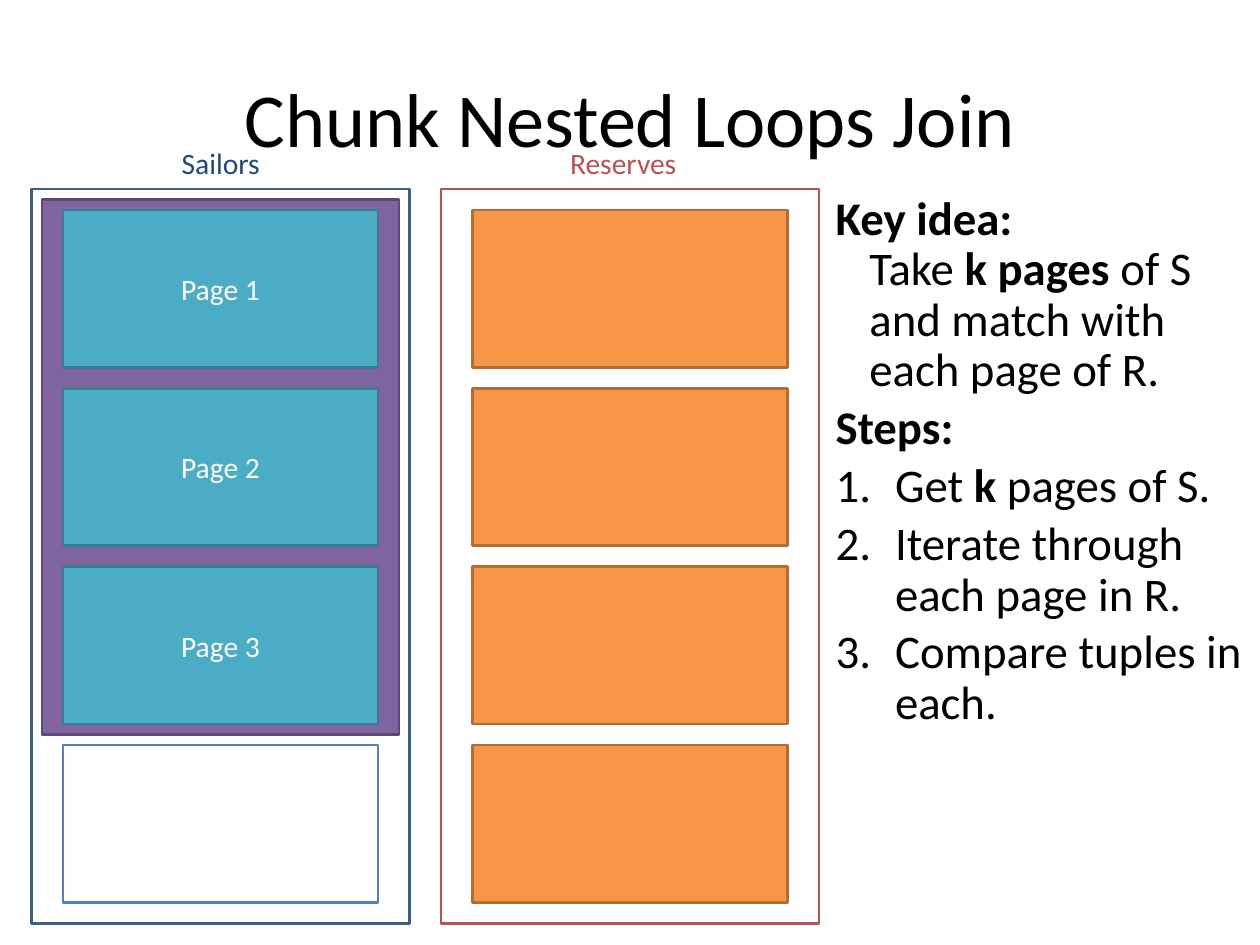
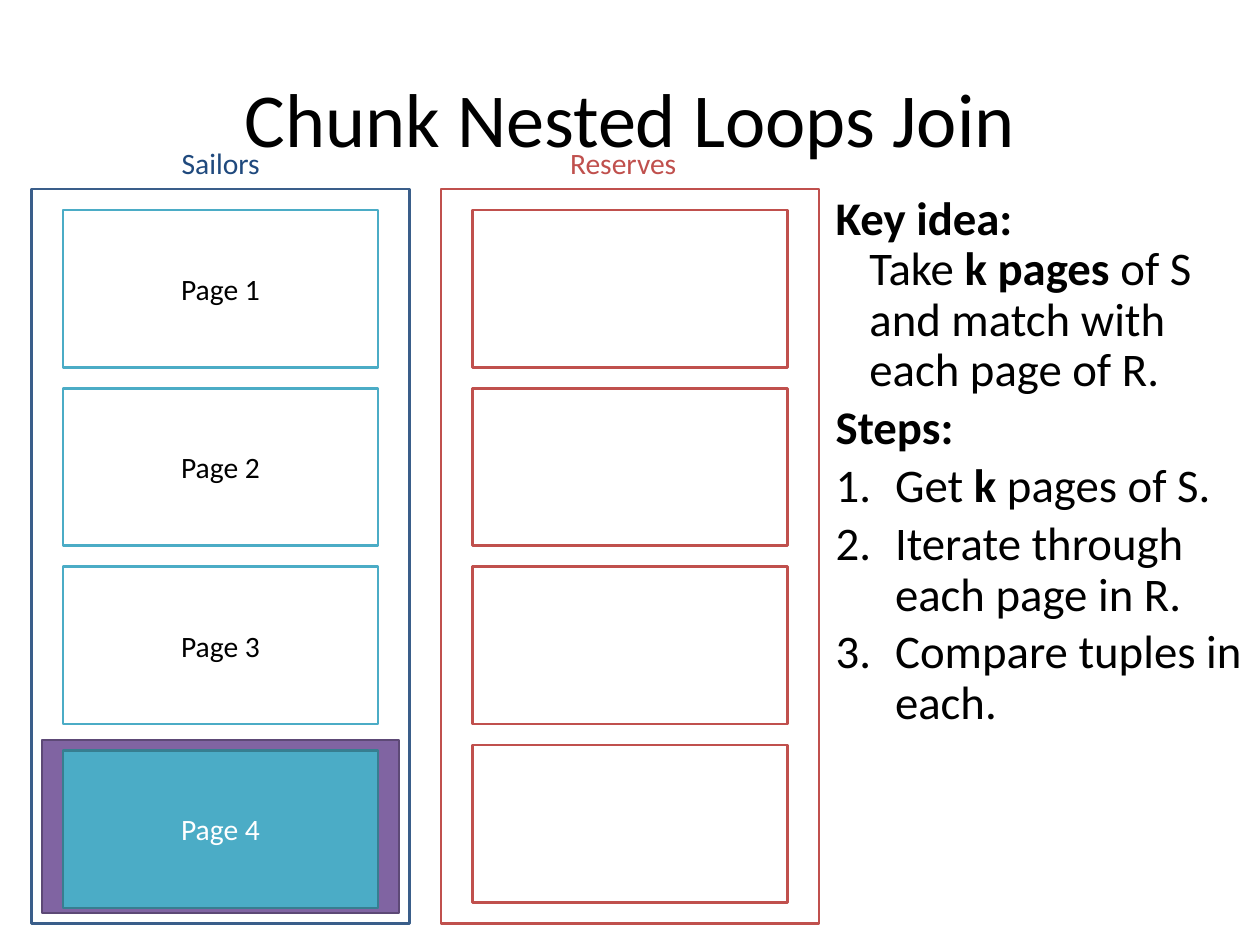
from dataclasses import dataclass
from typing import Any, Optional

from lxml.etree import SubElement
from pptx import Presentation
from pptx.dml.color import RGBColor
from pptx.enum.shapes import MSO_SHAPE as Preset
from pptx.enum.text import MSO_ANCHOR as Anchor, MSO_AUTO_SIZE as AutoSize, PP_ALIGN as Align
from pptx.oxml.ns import qn
from pptx.util import Inches, Pt

# Grid: the slide is 120 columns by 90 rows of square units
SLIDE_WIDTH, SLIDE_HEIGHT = Inches(14.22), Inches(10.67)
UNIT = SLIDE_WIDTH / 120
FRAME_TOP, FRAME_WIDTH, FRAME_HEIGHT = 18, 36, 70
PAGE_INSET, PAGE_TOP, PAGE_WIDTH, PAGE_HEIGHT, PAGE_PITCH = 3, 20, 30, 15, 17
PAGE_COUNT = 4
SAILORS_LEFT, RESERVES_LEFT = 3, 42

# Shared style
FONT = "Calibri"
BLACK = RGBColor(0x00, 0x00, 0x00)
WHITE = RGBColor(0xFF, 0xFF, 0xFF)
NAVY = RGBColor(0x1F, 0x49, 0x7D)
FRAME_BLUE = RGBColor(0x3A, 0x5E, 0x8A)
BLUE = RGBColor(0x4F, 0x81, 0xBD)
RED = RGBColor(0xC0, 0x50, 0x4D)
TEAL = RGBColor(0x4B, 0xAC, 0xC6)
DARK_TEAL = RGBColor(0x37, 0x7E, 0x90)
ORANGE = RGBColor(0xF7, 0x96, 0x46)
DARK_ORANGE = RGBColor(0xB4, 0x6D, 0x33)
PURPLE = RGBColor(0x80, 0x64, 0xA2)
DARK_PURPLE = RGBColor(0x5D, 0x49, 0x76)
FRAME_FORMAT = {
    "margin_left": Inches(0.07), "margin_right": Inches(0.07),
    "margin_top": Inches(0.07), "margin_bottom": Inches(0.07),
    "auto_size": AutoSize.NONE, "word_wrap": True,
}
BODY_FORMAT = {"line_spacing": 0.9, "space_before": Pt(6)}


@dataclass(frozen=True)
class Area:
    """Place and size in grid units."""
    left: float
    top: float
    width: float
    height: float

    def lengths(self) -> list[int]:
        return [round(n * UNIT) for n in (self.left, self.top, self.width, self.height)]


@dataclass(frozen=True)
class BoxStyle:
    fill: Optional[RGBColor]
    line: RGBColor
    text: RGBColor = BLACK


@dataclass(frozen=True)
class BodyParagraph:
    phrases: tuple[str, ...]    # a leading * marks bold, a line feed breaks the line
    numbered: bool = False


@dataclass(frozen=True)
class JoinStep:
    chunk: Area
    page_styles: tuple[BoxStyle, ...]
    page_labels: tuple[str, ...]
    reserve_style: BoxStyle
    last_page_shift: float = 0


ACTIVE = BoxStyle(TEAL, DARK_TEAL, WHITE)
DONE = BoxStyle(WHITE, TEAL)
WAITING = BoxStyle(WHITE, BLUE)
CHUNK = BoxStyle(PURPLE, DARK_PURPLE)

TITLE = "Chunk Nested Loops Join"
BODY = (
    BodyParagraph(("*Key idea:", "\n", "Take ", "*k pages ",
                   "of S and match with each page of R.")),
    BodyParagraph(("*Steps:",)),
    BodyParagraph(("Get ", "*k ", "pages of S."), numbered=True),
    BodyParagraph(("Iterate through each page in R.",), numbered=True),
    BodyParagraph(("Compare tuples in each.",), numbered=True),
)
STEPS = (
    JoinStep(Area(4, 19, 34, 51), (ACTIVE,) * 3 + (WAITING,),
             ("Page 1", "Page 2", "Page 3", ""), BoxStyle(ORANGE, DARK_ORANGE)),
    JoinStep(Area(4, 70.5, 34, 16.5), (DONE,) * 3 + (ACTIVE,),
             ("Page 1", "Page 2", "Page 3", "Page 4"), BoxStyle(WHITE, RED),
             last_page_shift=0.5),
)


def apply_format(target: Any, values: dict[str, Any]) -> None:
    for name, value in values.items():
        setattr(target, name, value)


def add_run(paragraph: Any, text: str, size: int, color: RGBColor, bold: bool = False) -> None:
    run = paragraph.add_run()
    run.text = text
    apply_format(run.font, {"name": FONT, "size": Pt(size), "bold": bold})
    run.font.color.rgb = color


def add_box(slide: Any, area: Area, style: BoxStyle, label: str = "") -> None:
    shape = slide.shapes.add_shape(Preset.RECTANGLE, *area.lengths())
    shape.shadow.inherit = False
    if style.fill is None:
        shape.fill.background()
    else:
        shape.fill.solid()
        shape.fill.fore_color.rgb = style.fill
    shape.line.color.rgb = style.line
    shape.line.width = Pt(2)
    if label:
        apply_format(shape.text_frame, FRAME_FORMAT | {"vertical_anchor": Anchor.MIDDLE})
        paragraph = shape.text_frame.paragraphs[0]
        paragraph.alignment = Align.CENTER
        add_run(paragraph, label, 24, style.text)


def page_area(frame_left: float, row: int, shift: float = 0) -> Area:
    return Area(frame_left + PAGE_INSET, PAGE_TOP + row * PAGE_PITCH + shift,
                PAGE_WIDTH, PAGE_HEIGHT)


def add_table_frame(slide: Any, left: float, style: BoxStyle) -> None:
    add_box(slide, Area(left, FRAME_TOP, FRAME_WIDTH, FRAME_HEIGHT), style)


def add_table_label(slide: Any, area: Area, text: str, color: RGBColor) -> None:
    label = slide.shapes.add_textbox(*area.lengths())
    apply_format(label.text_frame, FRAME_FORMAT | {"word_wrap": False})
    add_run(label.text_frame.paragraphs[0], text, 24, color)


def set_title(slide: Any) -> None:
    title = slide.shapes.title
    left, top, width, height = Area(6, 3.6, 108, 15).lengths()
    apply_format(title, {"left": left, "top": top, "width": width, "height": height})
    apply_format(title.text_frame, FRAME_FORMAT | {"vertical_anchor": Anchor.MIDDLE})
    paragraph = title.text_frame.paragraphs[0]
    paragraph.alignment = Align.CENTER
    add_run(paragraph, TITLE, 62, BLACK)


def add_body(slide: Any) -> None:
    text_frame = slide.shapes.add_textbox(*Area(79, 18, 41, 59.4).lengths()).text_frame
    apply_format(text_frame, FRAME_FORMAT)
    for index, item in enumerate(BODY):
        paragraph = text_frame.add_paragraph() if index else text_frame.paragraphs[0]
        apply_format(paragraph, BODY_FORMAT)
        # Hanging indent and automatic numbers
        properties = paragraph._p.get_or_add_pPr()
        indent = Inches(0.67 if item.numbered else 0.38)
        properties.set("marL", str(indent))
        properties.set("indent", str(-indent))
        if item.numbered:
            SubElement(properties, qn("a:buFont"), typeface="+mj-lt")
            SubElement(properties, qn("a:buAutoNum"), type="arabicPeriod")
        else:
            SubElement(properties, qn("a:buNone"))
        for phrase in item.phrases:
            if phrase == "\n":
                paragraph.add_line_break()
            else:
                add_run(paragraph, phrase.removeprefix("*"), 38, BLACK, phrase.startswith("*"))


def build_slide(presentation: Any, step: JoinStep) -> None:
    slide = presentation.slides.add_slide(presentation.slide_layouts[5])
    set_title(slide)

    # Sailors: current chunk behind its pages
    add_box(slide, step.chunk, CHUNK)
    add_table_frame(slide, SAILORS_LEFT, BoxStyle(None, FRAME_BLUE))
    for row, (style, label) in enumerate(zip(step.page_styles, step.page_labels)):
        shift = step.last_page_shift if row == PAGE_COUNT - 1 else 0
        add_box(slide, page_area(SAILORS_LEFT, row, shift), style, label)

    # Reserves
    add_table_frame(slide, RESERVES_LEFT, BoxStyle(WHITE, RED))
    for row in range(PAGE_COUNT):
        add_box(slide, page_area(RESERVES_LEFT, row), step.reserve_style)

    # Explanation and table names
    add_body(slide)
    add_table_label(slide, Area(16.7, 13.2, 8.8, 4.6), "Sailors", NAVY)
    add_table_label(slide, Area(53.7, 13.2, 11.5, 4.6), "Reserves", RED)


def main() -> None:
    presentation = Presentation()
    apply_format(presentation, {"slide_width": SLIDE_WIDTH, "slide_height": SLIDE_HEIGHT})
    for step in STEPS:
        build_slide(presentation, step)
    presentation.save("out.pptx")


if __name__ == "__main__":
    main()
